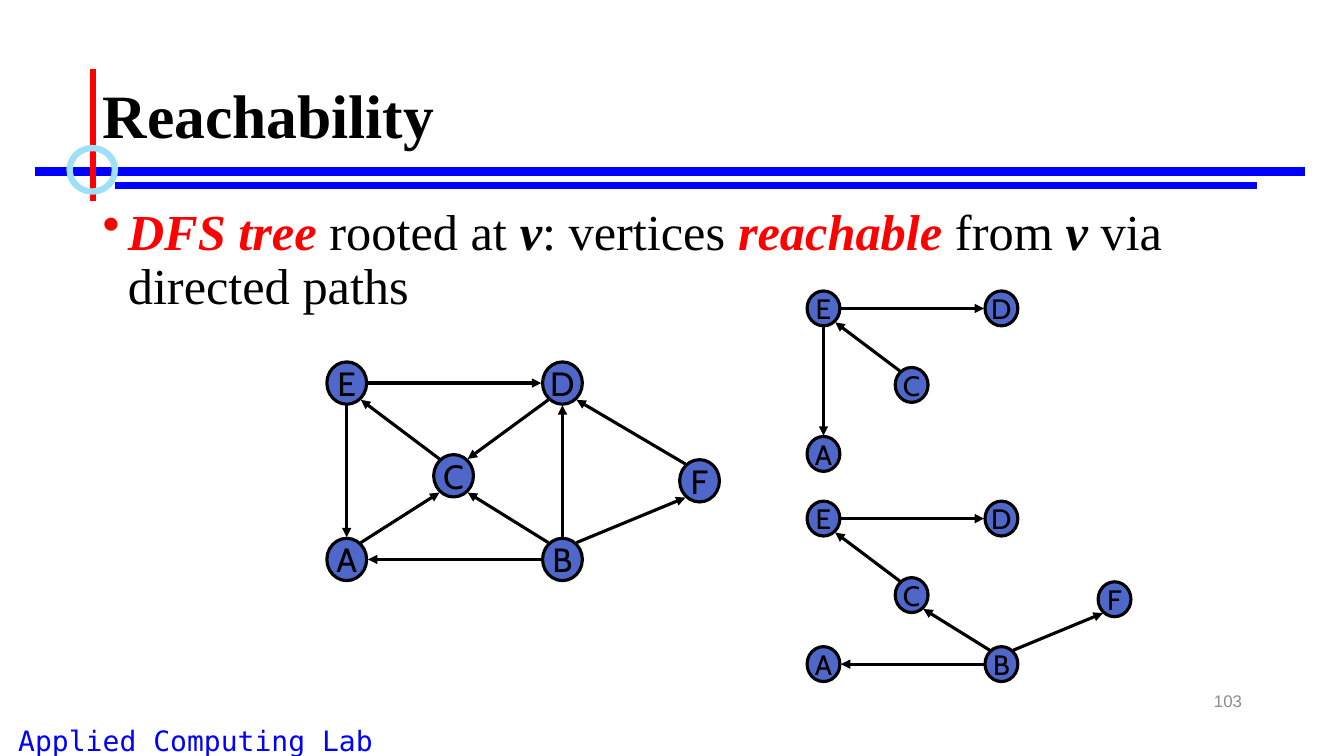
from dataclasses import dataclass

from lxml import etree
from pptx import Presentation
from pptx.dml.color import RGBColor
from pptx.enum.shapes import MSO_CONNECTOR, MSO_SHAPE
from pptx.enum.text import MSO_ANCHOR, PP_ALIGN
from pptx.oxml.ns import qn
from pptx.util import Emu, Pt

STRAIGHT = MSO_CONNECTOR.STRAIGHT
OVAL = MSO_SHAPE.OVAL
TOP, MIDDLE = MSO_ANCHOR.TOP, MSO_ANCHOR.MIDDLE
LEFT, CENTER, RIGHT = PP_ALIGN.LEFT, PP_ALIGN.CENTER, PP_ALIGN.RIGHT


@dataclass(frozen=True)
class Theme:
    black: RGBColor = RGBColor(0x00, 0x00, 0x00)
    red: RGBColor = RGBColor(0xFF, 0x00, 0x00)
    blue: RGBColor = RGBColor(0x00, 0x00, 0xFF)
    sky: RGBColor = RGBColor(0x9E, 0xE0, 0xF8)
    gray: RGBColor = RGBColor(0x8C, 0x8C, 0x8C)
    node: RGBColor = RGBColor(0x4E, 0x67, 0xC8)
    serif: str = "Times New Roman"
    mono: str = "DejaVu Sans Mono"
    sans: str = "Arial"
    label: str = "Cabin"
    title_size: int = 44
    body_size: int = 36
    footer_size: int = 20
    number_size: int = 12
    edge_width: float = 2.25
    rule_width: float = 4.5


theme = Theme()
presentation = Presentation()
presentation.slide_width = Emu(12192000)
presentation.slide_height = Emu(6858000)
slide = presentation.slides.add_slide(presentation.slide_layouts[6])
CELL = presentation.slide_width / 80


def cells(*lengths):
    return [Emu(round(length * CELL)) for length in lengths]


def add_line(shapes, start, end, color, width):
    line = shapes.add_connector(STRAIGHT, *cells(*start, *end))
    line.line.color.rgb = color
    line.line.width = Pt(width)
    etree.SubElement(line._element.spPr, qn("a:effectLst"))
    return line


for start, end, color, width in [
    ((2.1, 10.2), (77.7, 10.2), theme.blue, 6),
    ((6.84, 11.04), (74.82, 11.04), theme.blue, theme.rule_width),
    ((5.52, 4.08), (5.52, 11.94), theme.red, theme.rule_width),
]:
    add_line(slide.shapes, start, end, color, width)

ring = slide.shapes.add_shape(OVAL, *cells(4.14, 8.82, 2.7, 2.58))
ring.shadow.inherit = False
ring.fill.background()
ring.line.color.rgb = theme.sky
ring.line.width = Pt(theme.rule_width)

for text, box, font, size, color, bold, align, anchor in [
    ("Applied Computing Lab", (0, 42.78, 23.28, 2.58), theme.mono,
     theme.footer_size, theme.blue, False, CENTER, TOP),
    ("Reachability", (5.52, 2.4, 69, 8.7), theme.serif,
     theme.title_size, theme.black, True, LEFT, MIDDLE),
    ("103", (56.52, 40.5, 18, 2.4), theme.sans,
     theme.number_size, theme.gray, False, RIGHT, MIDDLE),
]:
    frame = slide.shapes.add_textbox(*cells(*box)).text_frame
    frame.word_wrap = True
    frame.vertical_anchor = anchor
    paragraph = frame.paragraphs[0]
    paragraph.text = text
    paragraph.alignment = align
    paragraph.font.name = font
    paragraph.font.size = Pt(size)
    paragraph.font.bold = bold
    paragraph.font.color.rgb = color

frame = slide.shapes.add_textbox(*cells(5.52, 12, 69, 28.56)).text_frame
frame.word_wrap = True
paragraph = frame.paragraphs[0]
paragraph.line_spacing = 0.9
paragraph.space_before = Pt(10)
paragraph.font.name = theme.serif
paragraph.font.size = Pt(theme.body_size)
for text, color, emphasis in [
    ("DFS tree ", theme.red, True),
    ("rooted at ", theme.black, False),
    ("v", theme.black, True),
    (": vertices ", theme.black, False),
    ("reachable", theme.red, True),
    (" from ", theme.black, False),
    ("v", theme.black, True),
    (" via directed paths", theme.black, False),
]:
    run = paragraph.add_run()
    run.text = text
    run.font.color.rgb = color
    run.font.bold = run.font.italic = emphasis
properties = paragraph._p.get_or_add_pPr()
indent, = cells(1.5)
properties.set("marL", str(indent))
properties.set("indent", str(-indent))
bullet = etree.Element(qn("a:buChar"), char="•")
properties.find(qn("a:defRPr")).addprevious(bullet)

NODE_WIDTH, NODE_HEIGHT = 2.37, 2.52
SIDE_REACH, END_REACH = 1.26, 1.32
CORNER_REACH = (0.84, 1)
layout = {
    "A": (0, 10.5), "B": (12.84, 10.5), "C": (6.36, 5.52),
    "D": (12.84, 0), "E": (0, 0), "F": (21, 5.82),
}
graphs = [
    ((20.64, 22.8), 1, 24, "ACEBDF", "FD BA CE ED BD AC DC EA BF BC"),
    ((49.02, 18.36), 0.825, 20, "ACED", "CE ED EA"),
    ((49.02, 30.87), 0.825, 20, "ACEBDF", "BA CE BF BC ED"),
]
for (left, top), scale, label_size, names, edges in graphs:
    group = slide.shapes.add_group_shape()
    centers = {name: (left + layout[name][0] * scale, top + layout[name][1] * scale)
               for name in names}
    for name, (x, y) in centers.items():
        width, height = NODE_WIDTH * scale, NODE_HEIGHT * scale
        node = group.shapes.add_shape(
            OVAL, *cells(x - width / 2, y - height / 2, width, height))
        node.shadow.inherit = False
        node.fill.solid()
        node.fill.fore_color.rgb = theme.node
        node.line.color.rgb = theme.black
        node.line.width = Pt(theme.edge_width)
        frame = node.text_frame
        frame.word_wrap = False
        frame.vertical_anchor = MIDDLE
        paragraph = frame.paragraphs[0]
        paragraph.text = name
        paragraph.alignment = CENTER
        paragraph.font.name = theme.label
        paragraph.font.size = Pt(label_size)
        paragraph.font.color.rgb = theme.black
    for source, target in edges.split():
        (x1, y1), (x2, y2) = centers[source], centers[target]
        toward_x, toward_y = (x2 > x1) - (x2 < x1), (y2 > y1) - (y2 < y1)
        reach_x, reach_y = CORNER_REACH if toward_x and toward_y else (SIDE_REACH, END_REACH)
        shift_x, shift_y = toward_x * reach_x * scale, toward_y * reach_y * scale
        edge = add_line(group.shapes, (x1 + shift_x, y1 + shift_y),
                        (x2 - shift_x, y2 - shift_y), theme.black, theme.edge_width)
        etree.SubElement(edge.line._get_or_add_ln(), qn("a:tailEnd"), type="triangle")

presentation.save("out.pptx")
